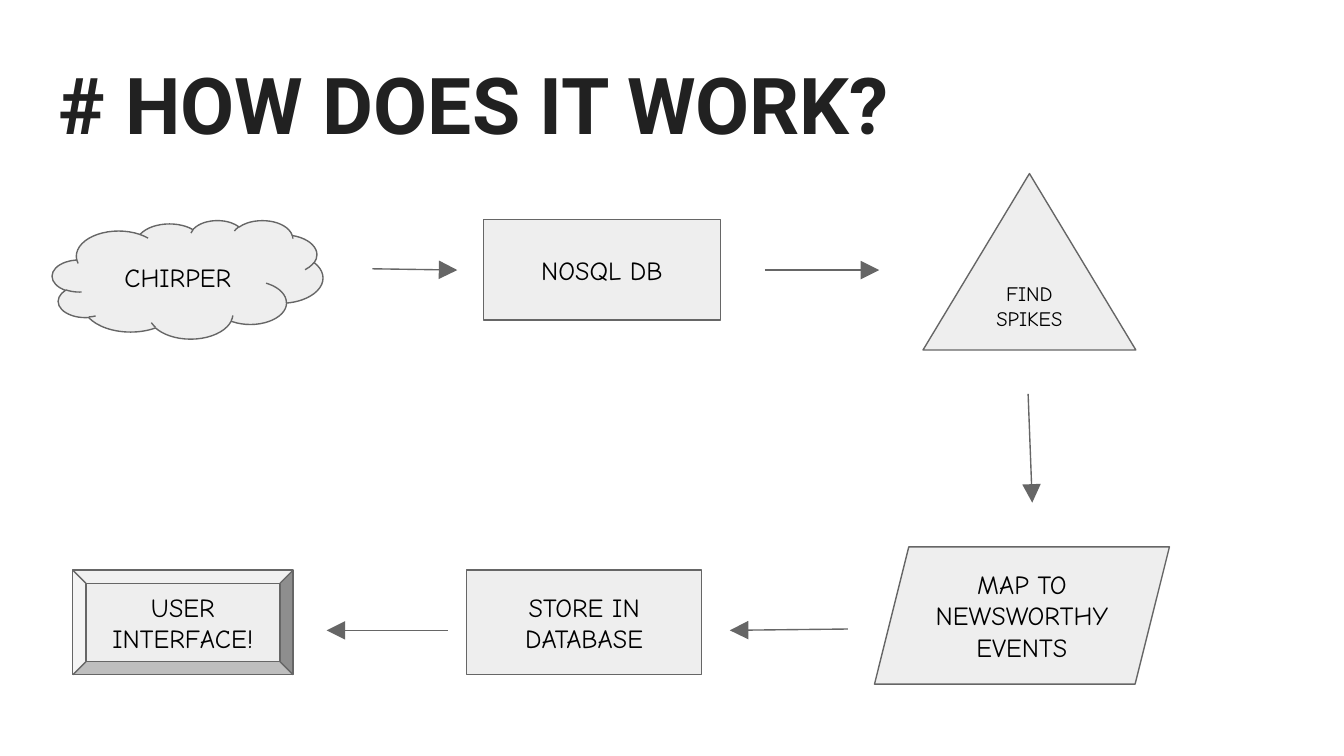
from lxml.etree import SubElement
from pptx import Presentation
from pptx.dml.color import RGBColor
from pptx.enum.shapes import MSO_CONNECTOR, MSO_SHAPE
from pptx.enum.text import MSO_ANCHOR, PP_ALIGN
from pptx.oxml.ns import qn
from pptx.util import Pt

COLORS = {"title": "212121", "fill": "EEEEEE", "line": "666666", "label": "000000"}

STEPS = [
    (MSO_SHAPE.CLOUD, (0, 25, 145, 63.5), "CHIRPER", 14),
    (MSO_SHAPE.RECTANGLE, (231, 24.5, 127, 54), "NOSQL DB", 14),
    (MSO_SHAPE.ISOSCELES_TRIANGLE, (466.5, 0, 114, 94.5), "FIND SPIKES", 11),
    (MSO_SHAPE.PARALLELOGRAM, (440.5, 200, 158, 73.5), "MAP TO NEWSWORTHY EVENTS", 14),
    (MSO_SHAPE.RECTANGLE, (222, 212.5, 126, 56), "STORE IN DATABASE", 14),
    (MSO_SHAPE.BEVEL, (11, 212.5, 118, 56), "USER INTERFACE!", 14),
]

ARROWS = [
    (171.5, 51, 217, 51.7),
    (381.7, 51.7, 443, 51.7),
    (522.8, 118, 525, 176.3),
    (426.3, 244, 363, 244.7),
    (211.8, 244.7, 147, 244.7),
]


def color(name):
    """Return a named colour of the palette."""
    return RGBColor.from_string(COLORS[name])


def write(shape, text, font_name, size, color_name, bold=False):
    """Write one wrapped paragraph into a shape and return it."""
    frame = shape.text_frame
    frame.word_wrap = True
    frame.margin_left = frame.margin_right = Pt(7.2)
    frame.margin_top = frame.margin_bottom = Pt(7.2)
    paragraph = frame.paragraphs[0]
    paragraph.text = text
    paragraph.font.name = font_name
    paragraph.font.size = Pt(size)
    paragraph.font.bold = bold
    paragraph.font.color.rgb = color(color_name)
    return paragraph


def add_title(slide, left, top, width, height):
    """Place the heading in its box."""
    heading = slide.shapes.add_textbox(Pt(left), Pt(top), Pt(width), Pt(height))
    write(heading, "# HOW DOES IT WORK?", "Roboto", 42, "title", bold=True)


def add_step(slide, kind, left, top, width, height, label, size):
    """Place one labelled step of the flow."""
    step = slide.shapes.add_shape(kind, Pt(left), Pt(top), Pt(width), Pt(height))
    step.shadow.inherit = False
    step.fill.solid()
    step.fill.fore_color.rgb = color("fill")
    step.line.color.rgb = color("line")
    step.line.width = Pt(0.75)
    step.text_frame.vertical_anchor = MSO_ANCHOR.MIDDLE
    write(step, label, "Comic Neue", size, "label").alignment = PP_ALIGN.CENTER


def add_arrow(slide, start_x, start_y, end_x, end_y):
    """Draw an arrow with its head at the end point."""
    arrow = slide.shapes.add_connector(
        MSO_CONNECTOR.STRAIGHT, Pt(start_x), Pt(start_y), Pt(end_x), Pt(end_y))
    arrow.line.color.rgb = color("line")
    arrow.line.width = Pt(0.75)
    properties = arrow.element.spPr
    head = SubElement(properties.find(qn("a:ln")), qn("a:tailEnd"))
    head.set("type", "triangle")
    head.set("w", "lg")
    head.set("len", "lg")
    SubElement(properties, qn("a:effectLst"))


def add_flow(slide, left, top):
    """Place the steps and the arrows between them from a top left corner."""
    for kind, (x, y, width, height), label, size in STEPS:
        add_step(slide, kind, left + x, top + y, width, height, label, size)
    for start_x, start_y, end_x, end_y in ARROWS:
        add_arrow(slide, left + start_x, top + start_y, left + end_x, top + end_y)


def main():
    """Build and save the slide."""
    deck = Presentation()
    deck.slide_width, deck.slide_height = Pt(720), Pt(405)
    slide = deck.slides.add_slide(deck.slide_layouts[6])
    add_flow(slide, 28, 93)
    add_title(slide, 24.5, 23, 671, 63.4)
    deck.save("out.pptx")


if __name__ == "__main__":
    main()
